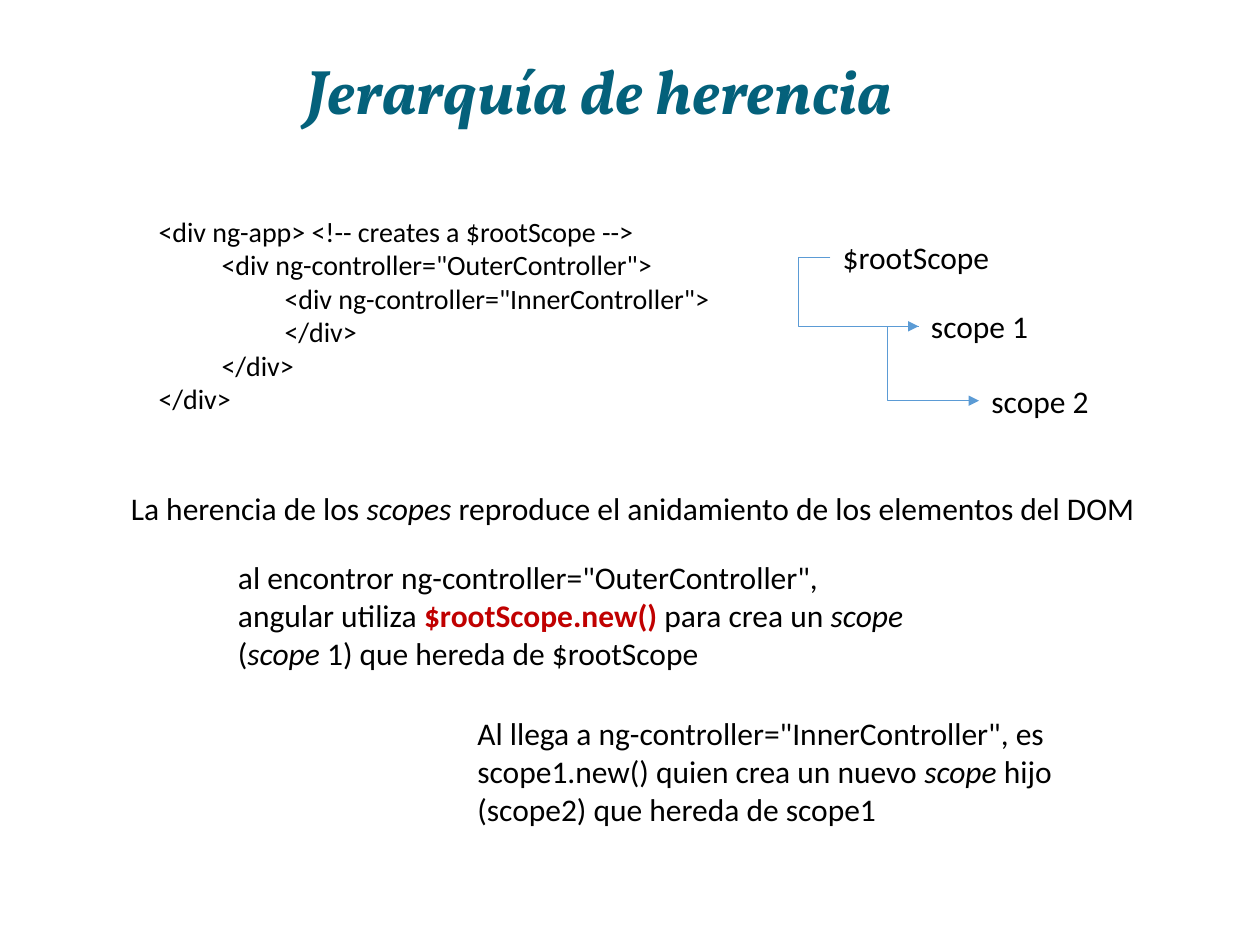
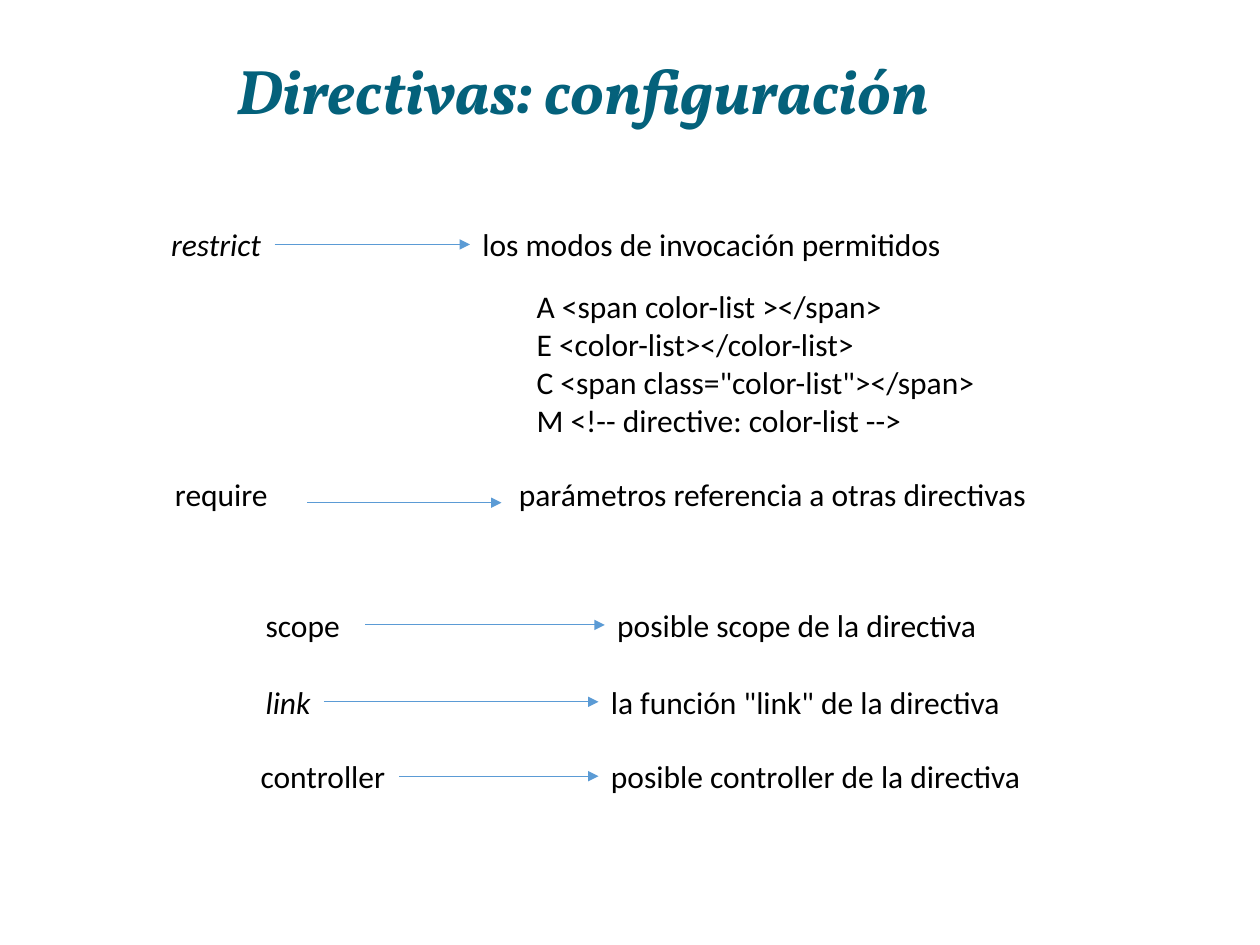
from lxml.etree import SubElement
from pptx import Presentation
from pptx.dml.color import RGBColor
from pptx.enum.shapes import MSO_CONNECTOR
from pptx.enum.text import MSO_ANCHOR, MSO_AUTO_SIZE, PP_ALIGN
from pptx.oxml.ns import qn
from pptx.util import Inches, Pt

TITLE_COLOR = "04617B"
TEXT_COLOR = "000000"
ACCENT_COLOR = "C00000"
ARROW_COLOR = "5B9BD5"
TITLE_FONT = "Vollkorn"
BODY_FONT = "Calibri"
LINE_HEIGHT = 0.4
LEFT_SIDE, RIGHT_SIDE = 1, 3


def rgb(value):
    """Turn a hex string into a colour."""
    return RGBColor.from_string(value)


def format_run(run, font=BODY_FONT, size=18, color=TEXT_COLOR, bold=False, italic=False):
    """Apply a complete character format to a run."""
    run.font.name = font
    run.font.size = Pt(size)
    run.font.color.rgb = rgb(color)
    run.font.bold = bold
    run.font.italic = italic


def add_text(slide, box, paragraphs, wrap=True, levels=None, **style):
    """Add a text box whose paragraphs are strings or lists of (text, format) runs."""
    label = slide.shapes.add_textbox(*map(Inches, box))
    frame = label.text_frame
    frame.word_wrap = wrap
    frame.auto_size = MSO_AUTO_SIZE.SHAPE_TO_FIT_TEXT
    for index, content in enumerate(paragraphs):
        paragraph = frame.paragraphs[0] if index == 0 else frame.add_paragraph()
        if levels:
            paragraph.level = levels[index]
        runs = [(content, {})] if isinstance(content, str) else content
        for text, changes in runs:
            run = paragraph.add_run()
            run.text = text
            format_run(run, **{**style, **changes})
    return label


def add_title_slide(deck, title, left):
    """Add a title-only slide with the shared title style."""
    slide = deck.slides.add_slide(deck.slide_layouts[5])
    heading = slide.shapes.title
    heading.left, heading.top = Inches(left), Inches(0.4)
    heading.width, heading.height = Inches(8.13), Inches(0.7)
    frame = heading.text_frame
    frame.word_wrap = True
    frame.auto_size = MSO_AUTO_SIZE.NONE
    frame.vertical_anchor = MSO_ANCHOR.MIDDLE
    paragraph = frame.paragraphs[0]
    paragraph.alignment = PP_ALIGN.CENTER
    paragraph.line_spacing = 0.9
    run = paragraph.add_run()
    run.text = title
    format_run(run, font=TITLE_FONT, size=36, color=TITLE_COLOR, bold=True, italic=True)
    return slide


def add_arrow(slide, start, end, source=None, target=None, kind=MSO_CONNECTOR.STRAIGHT,
              source_side=RIGHT_SIDE):
    """Draw a thin arrow, joined to its source and target where they are given."""
    arrow = slide.shapes.add_connector(kind, *map(Inches, (*start, *end)))
    if source is not None:
        arrow.begin_connect(source, source_side)
    if target is not None:
        arrow.end_connect(target, LEFT_SIDE)
    arrow.line.color.rgb = rgb(ARROW_COLOR)
    arrow.line.width = Pt(0.5)
    properties = arrow.element.spPr
    SubElement(properties.find(qn("a:ln")), qn("a:tailEnd"), type="triangle")
    SubElement(properties, qn("a:effectLst"))
    return arrow


def add_branch(slide, parent, child, start, end, reach=0.25):
    """Join two scopes by an elbow that reaches out to the left of the parent."""
    branch = add_arrow(slide, start, end, parent, child, MSO_CONNECTOR.ELBOW, LEFT_SIDE)
    guides = branch.element.spPr.find(qn("a:prstGeom")).get_or_add_avLst()
    bend = round(-reach / (end[0] - start[0]) * 100000)
    SubElement(guides, qn("a:gd"), name="adj1", fmla=f"val {bend}")


def add_scope_tree(slide, left, top):
    """Draw the chain of scopes, each one inheriting from the one above."""
    nodes = [("$rootScope", 0, 0, 1.6, True), ("scope 1", 0.7, 0.55, 0.98, False),
             ("scope 2", 1.18, 1.14, 0.98, False)]
    parent, parent_anchor = None, None
    for name, dx, dy, width, wrap in nodes:
        scope = add_text(slide, (left + dx, top + dy, width, LINE_HEIGHT), [name], wrap)
        anchor = (left + dx, top + dy + LINE_HEIGHT / 2)
        if parent is not None:
            add_branch(slide, parent, scope, parent_anchor, anchor)
        parent, parent_anchor = scope, anchor


def add_nested_markup(slide, left, top):
    """Show the nested controllers, indented by depth."""
    add_text(slide, (left, top, 4.61, 1.72), [
        "<div ng-app> <!-- creates a $rootScope -->",
        '<div ng-controller="OuterController">',
        '<div ng-controller="InnerController">',
        "</div>", "</div>", "</div>",
    ], levels=(0, 1, 2, 2, 1, 0), size=16)


def add_inheritance_notes(slide, left, top):
    """Explain how each controller creates its scope."""
    italic = {"italic": True}
    add_text(slide, (left, top, 8.28, LINE_HEIGHT), [[
        ("La herencia de los ", {}), ("scopes", italic),
        (" reproduce el anidamiento de los elementos del DOM", {}),
    ]], wrap=False)
    add_text(slide, (left + 0.85, top + 0.55, 5.74, 1.01), [
        'al encontror ng-controller="OuterController",',
        [("angular utiliza ", {}),
         ("$rootScope.new() ", {"color": ACCENT_COLOR, "bold": True}),
         ("para crea un ", {}), ("scope", italic), (" (", {}), ("scope", italic),
         (" 1) que hereda de $rootScope", {})],
    ])
    add_text(slide, (left + 2.75, top + 1.79, 5.18, 1.01), [[
        ('Al llega a ng-controller="InnerController", es scope1.new() quien crea un nuevo ', {}),
        ("scope", italic), (" hijo (scope2) que hereda de scope1", {}),
    ]])


def add_option(slide, top, term, meaning, italic=False, arrow_start=None, free_arrow=None):
    """Place an option and its meaning, each (text, left, width), with an arrow between."""
    (name, left, width), (text, text_left, text_width) = term, meaning
    option = add_text(slide, (left, top, width, LINE_HEIGHT), [name], wrap=False, italic=italic)
    value = add_text(slide, (text_left, top, text_width, LINE_HEIGHT), [text], wrap=False)
    middle = top + LINE_HEIGHT / 2
    if free_arrow:
        start, end, drop = free_arrow
        add_arrow(slide, (start, top + drop), (end, top + drop))
    elif arrow_start:
        add_arrow(slide, (arrow_start, middle), (text_left, middle), target=value)
    else:
        add_arrow(slide, (left + width, middle), (text_left, middle), option, value)


def add_invocation_modes(slide, left, top):
    """List the four ways of invoking a directive."""
    add_text(slide, (left, top, 3.85, 1.31), [
        "A <span color-list ></span>",
        "E <color-list></color-list>",
        'C <span class="color-list"></span>',
        "M <!-- directive: color-list -->",
    ])


def build_inheritance_slide(deck):
    """Build the slide on scope inheritance."""
    slide = add_title_slide(deck, "Jerarquía de herencia", 0.69)
    add_nested_markup(slide, 1.16, 1.65)
    add_scope_tree(slide, 6.59, 1.84)
    add_inheritance_notes(slide, 0.94, 3.83)


def build_directives_slide(deck):
    """Build the slide on directive options."""
    slide = add_title_slide(deck, "Directivas: configuración", 0.56)
    add_option(slide, 1.74, ("restrict", 1.26, 0.92),
               ("los modos de invocación permitidos", 3.73, 3.88), italic=True)
    add_invocation_modes(slide, 4.16, 2.23)
    add_option(slide, 3.72, ("require", 1.29, 0.95),
               ("parámetros referencia a otras directivas", 4.02, 4.27),
               free_arrow=(2.44, 3.98, 0.27))
    add_option(slide, 4.76, ("scope", 2.01, 0.8),
               ("posible scope de la directiva", 4.8, 3.05), arrow_start=2.9)
    add_option(slide, 5.37, ("link", 2.01, 0.56),
               ('la función "link" de la directiva', 4.75, 3.3), italic=True)
    add_option(slide, 5.96, ("controller", 1.97, 1.2),
               ("posible controller de la directiva", 4.75, 3.45))


def main():
    """Build and save the deck."""
    deck = Presentation()
    deck.slide_width, deck.slide_height = Inches(10), Inches(7.5)
    build_inheritance_slide(deck)
    build_directives_slide(deck)
    deck.save("out.pptx")


if __name__ == "__main__":
    main()
